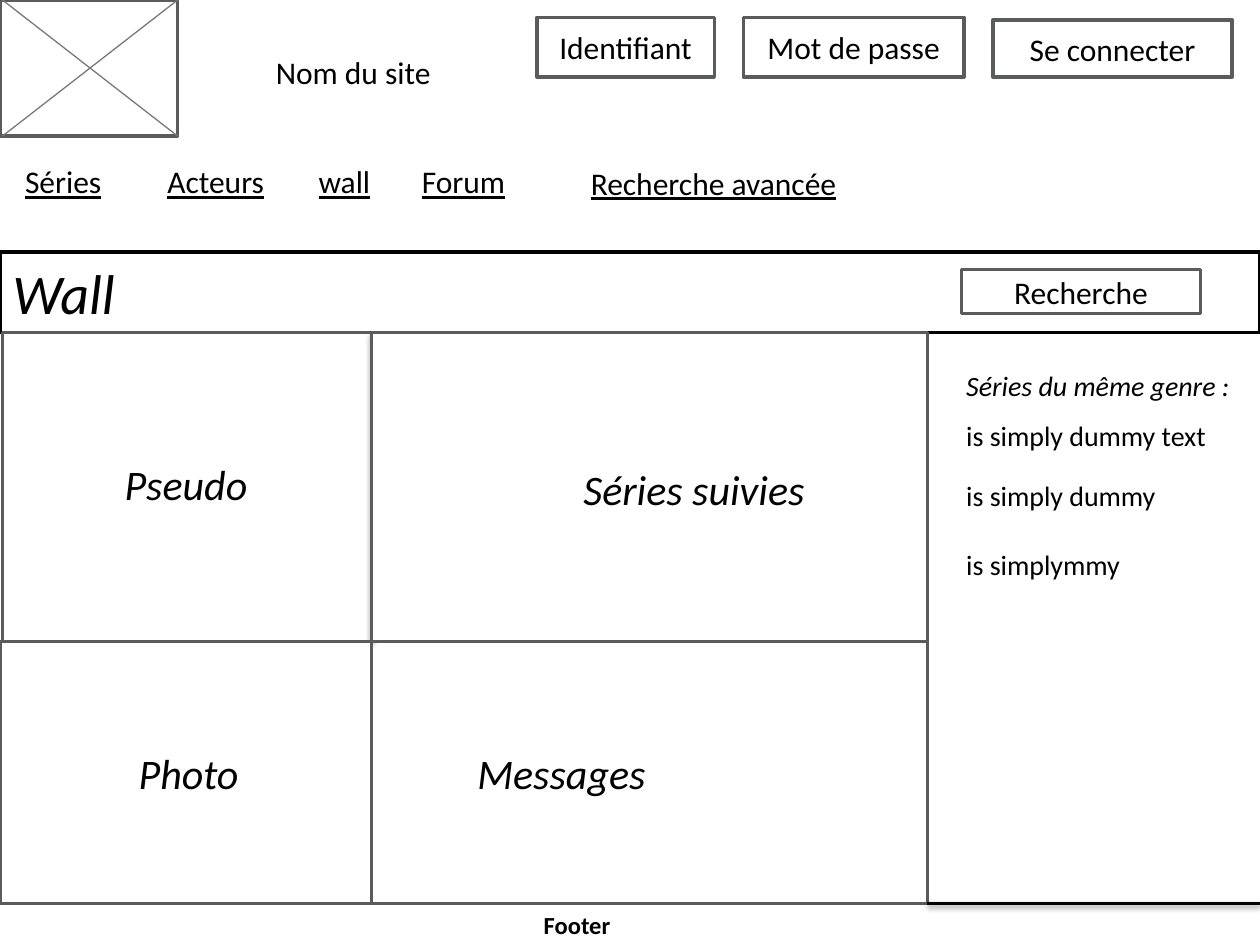
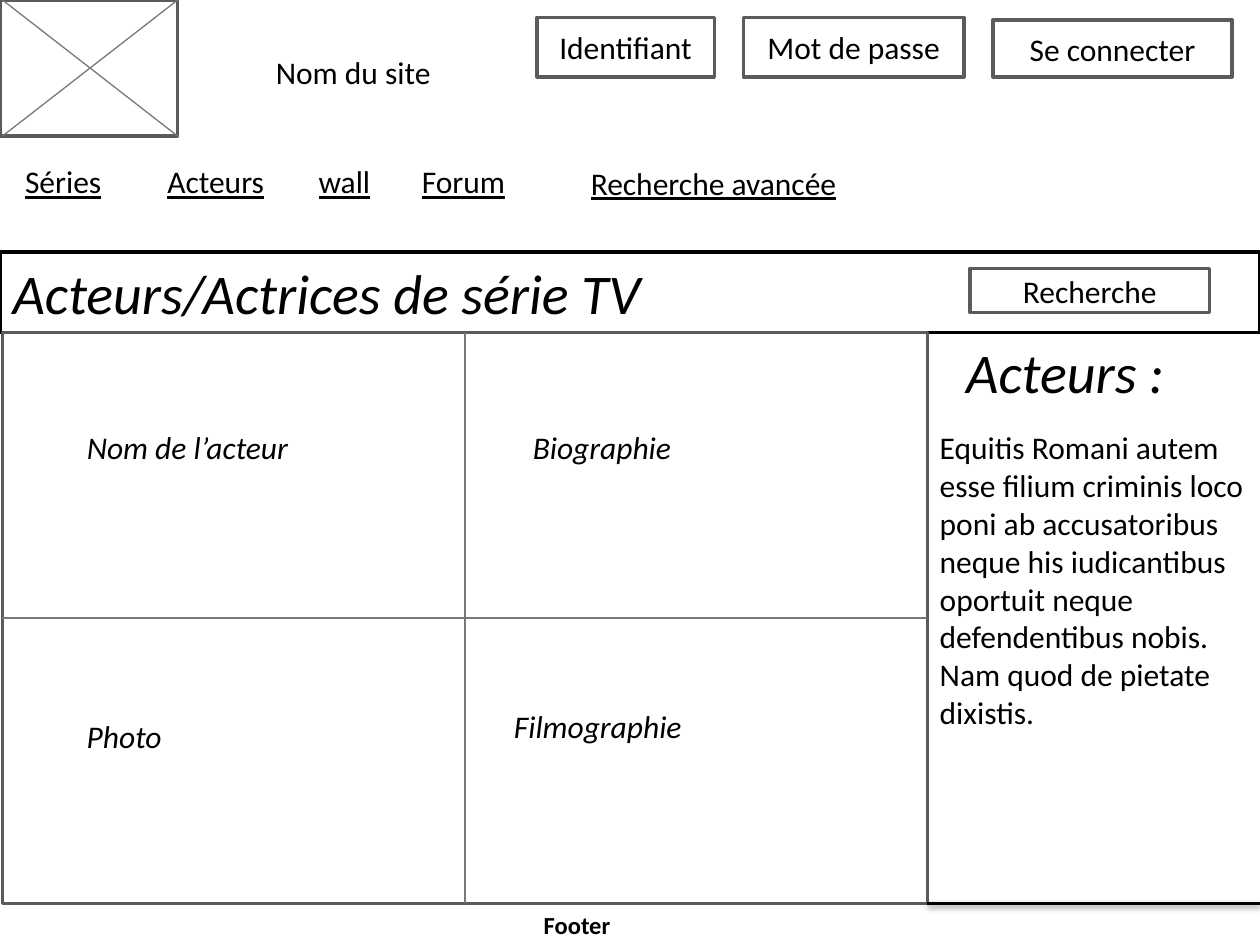
from pptx import Presentation
from pptx.dml.color import RGBColor
from pptx.enum.shapes import MSO_CONNECTOR, MSO_SHAPE
from pptx.enum.text import MSO_ANCHOR, MSO_AUTO_SIZE, PP_ALIGN
from pptx.oxml import parse_xml
from pptx.oxml.ns import nsdecls
from pptx.util import Inches, Pt

COLORS = {"paper": "FFFFFF", "ink": "000000", "frame": "5A5B5D", "rule": "76787B"}
FONT = "Calibri"
PANEL_TOP, PANEL_BOTTOM = 2.64, 7.17
PANEL_LEFT, PANEL_RIGHT = 0.02, 7.36
PROFILE_SPLIT, PROFILE_MIDDLE = 2.95, 5.09
NAVIGATION = [
    ("Séries", 0.1, 1.24, 0.81),
    ("Acteurs", 1.23, 1.24, 0.98),
    ("wall", 2.43, 1.24, 0.62),
    ("Forum", 3.25, 1.24, 0.87),
    ("Recherche avancée", 4.59, 1.25, 2.78),
]
LOGIN_FIELDS = [
    ("Identifiant", 4.26, 0.14, 1.41, 0.47),
    ("Mot de passe", 5.9, 0.14, 1.75, 0.47),
    ("Se connecter", 7.88, 0.16, 1.9, 0.45),
]
SHADOW = (
    '<a:outerShdw blurRad="39370" dist="20320" dir="5400000" rotWithShape="0">'
    '<a:srgbClr val="000000"><a:alpha val="38000"/></a:srgbClr></a:outerShdw>'
)


def rgb(name):
    """Return the palette colour with this name."""
    return RGBColor.from_string(COLORS[name])


def write_text(shape, text, size=18, bold=False, italic=False, underline=False,
               align=PP_ALIGN.LEFT, anchor=MSO_ANCHOR.TOP, indent=0.1, wrap=True):
    """Write one formatted paragraph into a shape."""
    frame = shape.text_frame
    frame.word_wrap = wrap
    frame.vertical_anchor = anchor
    frame.margin_left = Inches(indent)
    paragraph = frame.paragraphs[0]
    paragraph.alignment = align
    run = paragraph.add_run()
    run.text = text
    font = run.font
    font.name, font.size, font.color.rgb = FONT, Pt(size), rgb("ink")
    font.bold, font.italic, font.underline = bold, italic, underline


def add_label(slide, text, left, top, width, height=0.4, **text_format):
    """Add a text box that fits its text."""
    label = slide.shapes.add_textbox(
        Inches(left), Inches(top), Inches(width), Inches(height))
    write_text(label, text, **text_format)
    label.text_frame.auto_size = MSO_AUTO_SIZE.SHAPE_TO_FIT_TEXT


def paint(shape, line_color):
    """Give a shape a paper fill and a two-point outline."""
    shape.fill.solid()
    shape.fill.fore_color.rgb = rgb("paper")
    shape.line.color.rgb = rgb(line_color)
    shape.line.width = Pt(2)


def add_box(slide, left, top, width, height, text="", **text_format):
    """Add a framed rectangle, with text if there is any."""
    box = slide.shapes.add_shape(
        MSO_SHAPE.RECTANGLE, Inches(left), Inches(top), Inches(width), Inches(height))
    box.shadow.inherit = False
    paint(box, "frame")
    if text:
        write_text(box, text, anchor=MSO_ANCHOR.MIDDLE, **text_format)


def add_line(slide, start, end, color="rule", width=0.75, shadow=""):
    """Add a straight line between two points."""
    line = slide.shapes.add_connector(
        MSO_CONNECTOR.STRAIGHT, *(Inches(value) for value in (*start, *end)))
    line.line.color.rgb = rgb(color)
    line.line.width = Pt(width)
    line._element.spPr.append(
        parse_xml(f'<a:effectLst {nsdecls("a")}>{shadow}</a:effectLst>'))


def add_shadow_line(slide, start, end):
    """Add a black line with a soft shadow below it."""
    add_line(slide, start, end, color="ink", width=2, shadow=SHADOW)


def add_title(slide, text):
    """Turn the title placeholder into the page band."""
    title = slide.shapes.title
    title.left, title.top = Inches(0), Inches(2)
    title.width, title.height = Inches(10), Inches(0.64)
    paint(title, "ink")
    write_text(title, text, size=32, italic=True)
    title.text_frame.auto_size = MSO_AUTO_SIZE.NONE


def add_header(slide):
    """Add the image frame, site name, login fields and navigation."""
    add_box(slide, 0, 0, 1.41, 1.08)
    add_line(slide, (0.02, 0), (1.41, 1.08))
    add_line(slide, (1.41, 0), (0.02, 1.08))
    add_label(slide, "Nom du site", 2.09, 0.37, 1.45, wrap=False)
    for text, *place in LOGIN_FIELDS:
        add_box(slide, *place, text, align=PP_ALIGN.CENTER)
    for text, *place in NAVIGATION:
        add_label(slide, text, *place, underline=True)


def add_page(presentation, title, search_left, search_top):
    """Add a slide with everything the pages share."""
    slide = presentation.slides.add_slide(presentation.slide_layouts[5])
    add_title(slide, title)
    add_box(slide, PANEL_LEFT, PANEL_TOP,
            PANEL_RIGHT - PANEL_LEFT, PANEL_BOTTOM - PANEL_TOP)
    add_shadow_line(slide, (PANEL_RIGHT, PANEL_BOTTOM), (10, PANEL_BOTTOM))
    add_box(slide, search_left, search_top, 1.9, 0.35, "Recherche",
            align=PP_ALIGN.CENTER)
    add_header(slide)
    add_label(slide, "Footer", 1.8, PANEL_BOTTOM, 5.56, 0.34, size=14, bold=True,
              align=PP_ALIGN.CENTER)
    return slide


def add_wall_page(presentation):
    """Build the wall of a member."""
    slide = add_page(presentation, "Wall", 7.63, 2.14)
    add_shadow_line(slide, (PROFILE_SPLIT, PANEL_TOP), (PROFILE_SPLIT, PROFILE_MIDDLE))
    add_box(slide, PROFILE_SPLIT, PANEL_TOP,
            PANEL_RIGHT - PROFILE_SPLIT, PROFILE_MIDDLE - PANEL_TOP)
    add_box(slide, 0, PROFILE_MIDDLE, PROFILE_SPLIT, PANEL_BOTTOM - PROFILE_MIDDLE,
            "Photo", size=24, italic=True, indent=1.1)
    add_line(slide, (PROFILE_SPLIT, PROFILE_MIDDLE), (PROFILE_SPLIT, PANEL_BOTTOM),
             color="frame", width=2)
    for text, left, top, width, indent in [
        ("Pseudo", 0.89, 3.59, 1.36, 0.1),
        ("Séries suivies", 3.53, 3.63, 3.3, 1.1),
        ("Messages", 3.69, 5.88, 2.86, 0.1),
    ]:
        add_label(slide, text, left, top, width, 0.5, size=24, italic=True,
                  indent=indent)
    for text, top, italic in [
        ("Séries du même genre :", 2.88, True),
        ("is simply dummy text", 3.27, False),
        ("is simply dummy", 3.75, False),
        ("is simplymmy", 4.3, False),
    ]:
        add_label(slide, text, 7.57, top, 2.4, 0.37, size=16, italic=italic)


def add_actor_page(presentation):
    """Build the page of an actor."""
    slide = add_page(presentation, "Acteurs/Actrices de série TV", 7.7, 2.13)
    center = (PANEL_LEFT + PANEL_RIGHT) / 2
    middle = (PANEL_TOP + PANEL_BOTTOM) / 2
    add_line(slide, (center, PANEL_TOP), (center, PANEL_BOTTOM))
    add_line(slide, (PANEL_LEFT, middle), (PANEL_RIGHT, middle))
    for text, left, top, width in [
        ("Nom de l’acteur", 0.59, 3.35, 2.45),
        ("Biographie", 4.13, 3.35, 2.41),
        ("Photo", 0.59, 5.64, 1.96),
        ("Filmographie", 3.98, 5.56, 1.89),
    ]:
        add_label(slide, text, left, top, width, italic=True)
    add_label(slide, "Acteurs :", 7.57, 2.63, 1.89, 0.64, size=32, italic=True)
    add_label(
        slide,
        "Equitis Romani autem esse filium criminis loco poni ab accusatoribus "
        "neque his iudicantibus oportuit neque defendentibus nobis. "
        "Nam quod de pietate dixistis.",
        PANEL_RIGHT, 3.35, 2.75, 2.52)


def main():
    """Build and save the presentation."""
    presentation = Presentation()
    presentation.slide_width, presentation.slide_height = Inches(10), Inches(7.5)
    add_wall_page(presentation)
    add_actor_page(presentation)
    presentation.save("out.pptx")


main()
